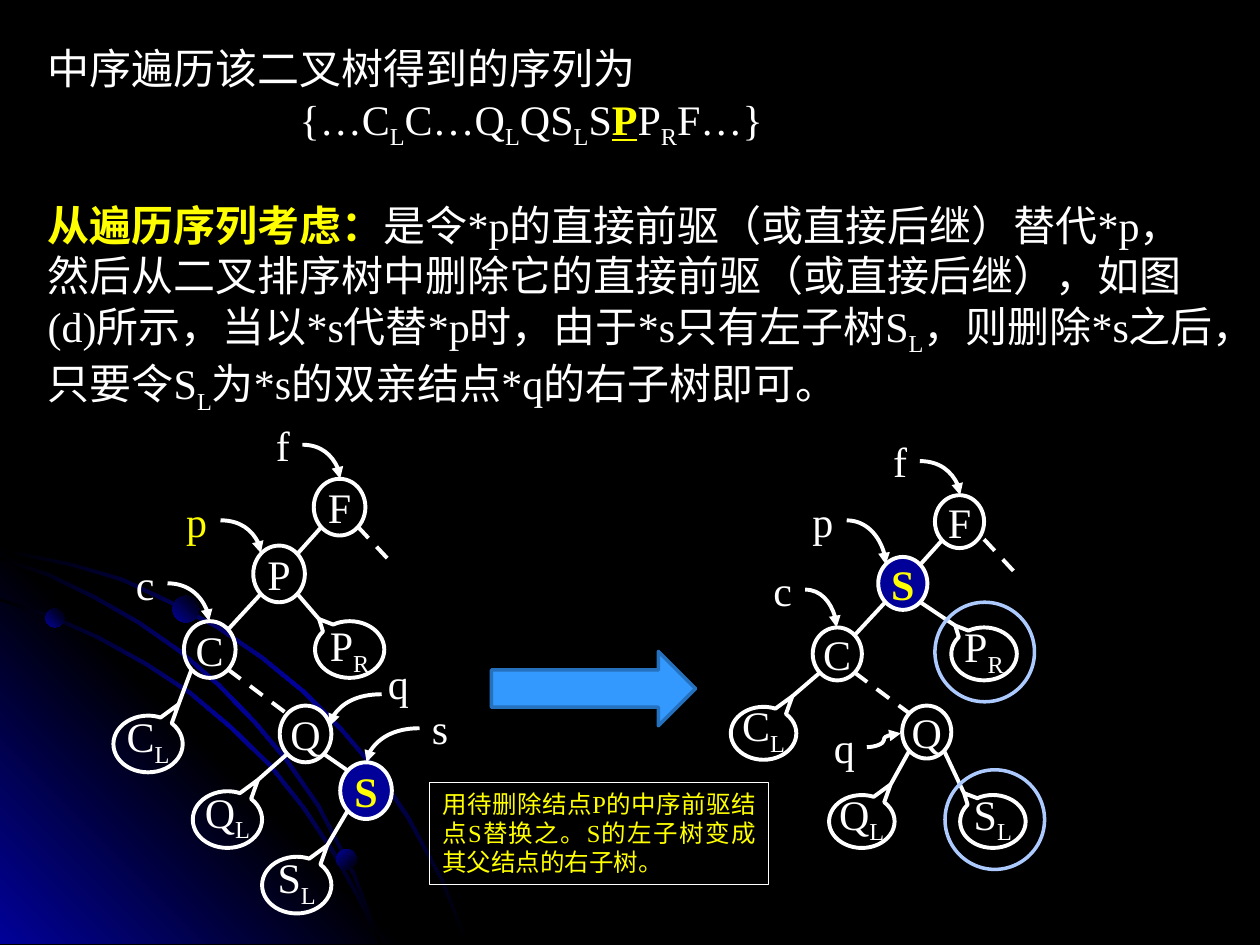
from dataclasses import dataclass

from lxml.etree import SubElement
from pptx import Presentation
from pptx.dml.color import RGBColor
from pptx.enum.dml import MSO_LINE
from pptx.enum.shapes import MSO_CONNECTOR, MSO_SHAPE
from pptx.enum.text import MSO_ANCHOR, MSO_AUTO_SIZE, PP_ALIGN
from pptx.oxml.ns import qn
from pptx.util import Emu, Inches, Pt

COLORS = {"back": "000000", "text": "FFFFFF", "key": "FFFF00", "navy": "010199",
          "ring": "ADCAFF", "arrow": "3399FF", "arrow_edge": "2671BD"}
FONT = "Times New Roman"
COLUMNS, ROWS = 100, 75
CELL = Inches(10) / COLUMNS
DIAGONAL = 0.5 ** 0.5 / 2
BOTTOM = 74.9

ARCS = [
    [(0, 43.5), (2.8, 44.1), (5.7, 44.7), (9.8, 45.9), (13.6, 47.7), (17.4, 49.7), (20.9, 52.1),
     (24.2, 54.8), (27.2, 57.8), (30, 61.1), (32.5, 64.8), (35.2, 69.8), (37.2, BOTTOM)],
    [(0, 47.5), (4.1, 48.8), (7.9, 50.5), (11.7, 52.6), (15.2, 54.9), (18.4, 57.6), (21.5, 60.6),
     (24.2, 64), (26.6, 67.6), (28.6, 71.2), (30.3, BOTTOM)],
    [(0, 44.2), (3.9, 45.5), (7.6, 47.3), (11.1, 49.3), (14.4, 51.6), (17.5, 54.3), (20.4, 57.3),
     (22.9, 60.3), (25.4, 63.9), (28.2, 69.3), (30.3, BOTTOM)],
]
CORNER = [(0, 42.7), (32.2, BOTTOM), (0, BOTTOM)]
DOTS = [(3.6, 48.3, 1.5, 315), (26.7, 67.4, 1.6, 45), (13.7, 47.3, 2.1, 315)]


@dataclass
class Tree:
    """Node and subtree positions are centres; a stub is a dashed line to a part not drawn."""
    node_size: tuple
    subtree_size: tuple
    nodes: dict
    edges: list
    subtrees: list
    stub: tuple
    pointers: list


BEFORE = Tree(
    (4.1, 4.5), (5.5, 4.5),
    {"F": (26.95, 40.25), "P": (22.15, 45.55), "C": (16.65, 51.55),
     "Q": (24.25, 58.25), "S": (29.05, 62.75)},
    [("F", "P", -1, False), ("P", "C", -1, False), ("C", "Q", 1, True), ("Q", "S", 1, False)],
    [("C", "L", 11.75, 59.05, "C", -1, 0.5), ("P", "R", 27.75, 51.55, "P", 1, 0.7),
     ("Q", "L", 18.05, 65.05, "Q", -1, 0.5), ("S", "L", 23.55, 70.25, "S", -1, 0.5)],
    (28.4, 41.8, 31.2, 44.8),
    [("f", 20.9, 32.8, 3.1, "text", (24, 35.3, 27, 38)),
     ("p", 13.8, 38.8, 3.7, "key", (17.5, 41.3, 20.7, 43.9)),
     ("c", 9.8, 43.8, 3.5, "text", (13.3, 46.3, 16.6, 49.3)),
     ("s", 33.3, 55.3, 3.3, "text", (33.3, 57.8, 29.1, 60.5)),
     ("q", 29.8, 51.7, 3.7, "text", (30.3, 55.1, 26.2, 57.6))])
AFTER = Tree(
    (3.9, 4.2), (5.2, 4.2),
    {"F": (76.15, 41.4), "S": (71.65, 46.3), "C": (66.45, 51.9), "Q": (73.55, 58.1)},
    [("F", "S", -1, False), ("S", "C", -1, False), ("C", "Q", 1, True)],
    [("C", "L", 60.6, 58.2, "C", -1, 0.5), ("P", "R", 78.1, 51.9, "S", 1, 0.5),
     ("Q", "L", 68.4, 65.2, "Q", -1, 0.5), ("S", "L", 78.8, 65.2, "Q", 1, 0.5)],
    (78.1, 42.8, 80.7, 45.6),
    [("f", 69.9, 34.1, 3.1, "text", (73, 36.6, 76.2, 39.3)),
     ("p", 63.5, 38.8, 3.7, "text", (67.2, 41.3, 70.3, 44.8)),
     ("c", 60.4, 44.3, 3.5, "text", (63.9, 46.8, 66.4, 49.8)),
     ("q", 65.2, 56.8, 3.7, "text", (68.8, 59.3, 71.5, 58.2))])


def cells(*counts):
    return [Emu(round(count * CELL)) for count in counts]


def rgb(name):
    return RGBColor.from_string(COLORS[name])


def add_spans(para, spans, size=24):
    """Add (text, style) spans; style is a colour name, with "sub", "bold" or "under" as wanted."""
    for text, style in spans:
        span = para.add_run()
        span.text = text
        span.font.name, span.font.size = FONT, Pt(size)
        span.font.color.rgb = rgb("key" if "key" in style else "text")
        span.font.bold = "bold" in style
        if "under" in style:
            span.font.underline = True
        if "sub" in style:
            span._r.get_or_add_rPr().set("baseline", "-25000")


def add_figure(slide, preset, at, fill=None, line="text", width=2.25):
    shape = slide.shapes.add_shape(preset, *cells(*at))
    shape.shadow.inherit = False
    if fill:
        shape.fill.solid()
        shape.fill.fore_color.rgb = rgb(fill)
    else:
        shape.fill.background()
    shape.line.color.rgb = rgb(line)
    shape.line.width = Pt(width)
    return shape


def add_centred(shape, spans):
    frame = shape.text_frame
    frame.word_wrap = False
    frame.vertical_anchor = MSO_ANCHOR.MIDDLE
    para = frame.paragraphs[0]
    para.alignment = PP_ALIGN.CENTER
    add_spans(para, spans)
    return para


def add_line(slide, ends, kind=MSO_CONNECTOR.STRAIGHT, dashed=False):
    line = slide.shapes.add_connector(kind, *cells(*ends))
    line.line.color.rgb = rgb("text")
    line.line.width = Pt(2.25)
    if dashed:
        line.line.dash_style = MSO_LINE.DASH
    SubElement(line._element.spPr, qn("a:effectLst"))
    return line


def add_pointer(slide, label, left, top, width, color, ends):
    box = slide.shapes.add_textbox(*cells(left, top, width, 5))
    box.text_frame.word_wrap = False
    box.text_frame.auto_size = MSO_AUTO_SIZE.SHAPE_TO_FIT_TEXT
    add_spans(box.text_frame.paragraphs[0], [(label, color)])
    arrow = add_line(slide, ends, MSO_CONNECTOR.CURVE)
    SubElement(arrow.line._get_or_add_ln(), qn("a:tailEnd"), type="triangle")
    if ends[3] > ends[1]:
        arrow._element.spPr.find(qn("a:prstGeom")).set("prst", "curvedConnector2")


def add_subtree(slide, size, letter, index, x, y, side, spacing):
    """Draw a callout with its tip upwards and return where the tip is."""
    width, height = size
    reach = 0.7 if side < 0 else 0.535
    shape = add_figure(slide, MSO_SHAPE.OVAL_CALLOUT,
                       (x - width / 2, y - height / 2, width, height))
    shape.adjustments[0], shape.adjustments[1] = -0.44, reach
    shape._element.spPr.xfrm.set("flipV", "1")
    if side < 0:
        shape._element.spPr.xfrm.set("flipH", "1")
    add_centred(shape, [(letter, ""), (index, "sub")]).line_spacing = spacing
    shape.text_frame._txBody.bodyPr.set("rot", "10800000")
    return x - side * 0.44 * width, y - reach * height


def add_tree(slide, tree):
    width, height = tree.node_size

    def port(name, side, down):
        x, y = tree.nodes[name]
        return x + side * DIAGONAL * width, y + down * DIAGONAL * height

    for name, (x, y) in tree.nodes.items():
        marked = name == "S"
        node = add_figure(slide, MSO_SHAPE.OVAL, (x - width / 2, y - height / 2, width, height),
                          "navy" if marked else None)
        add_centred(node, [(name, "key bold" if marked else "")])
    for parent, child, side, dashed in tree.edges:
        add_line(slide, port(parent, side, 1) + port(child, -side, -1), dashed=dashed)
    for letter, index, x, y, parent, side, spacing in tree.subtrees:
        tip = add_subtree(slide, tree.subtree_size, letter, index, x, y, side, spacing)
        add_line(slide, port(parent, side, 1) + tip)
    add_line(slide, tree.stub, dashed=True)
    for pointer in tree.pointers:
        add_pointer(slide, *pointer)


def paint_gradient(shape, names, angle):
    shape.shadow.inherit = False
    shape.line.fill.background()
    shape.fill.gradient()
    gradient = shape._element.spPr.find(qn("a:gradFill"))
    stops = gradient.find(qn("a:gsLst"))
    for stop in list(stops):
        stops.remove(stop)
    for number, name in enumerate(names):
        stop = SubElement(stops, qn("a:gs"), pos=str(number * 100000 // (len(names) - 1)))
        SubElement(stop, qn("a:srgbClr"), val=COLORS[name])
    gradient.find(qn("a:lin")).set("ang", str(angle * 60000))


def add_outline(slide, points, names, angle):
    start, *others = [cells(*point) for point in points]
    builder = slide.shapes.build_freeform(*start)
    builder.add_line_segments(others, close=True)
    paint_gradient(builder.convert_to_shape(), names, angle)


def add_backdrop(slide):
    slide.background.fill.solid()
    slide.background.fill.fore_color.rgb = rgb("back")
    bands = [arc + [(max(x - 0.2, 0), min(y + 0.2, BOTTOM)) for x, y in reversed(arc)]
             for arc in ARCS]
    add_outline(slide, bands[0], ["back", "navy", "back"], 45)
    add_outline(slide, CORNER, ["navy", "back", "navy"], 315)
    for band in bands[1:]:
        add_outline(slide, band, ["back", "navy", "back"], 45)
    for left, top, size, angle in DOTS:
        dot = add_figure(slide, MSO_SHAPE.OVAL, (left, top, size, size))
        paint_gradient(dot, ["navy", "back"], angle)


def add_explanation(slide):
    frame = slide.shapes.add_textbox(*cells(2.8, 2.9, 94.5, 29.3)).text_frame
    frame.word_wrap = True
    frame.auto_size = MSO_AUTO_SIZE.SHAPE_TO_FIT_TEXT
    add_spans(frame.paragraphs[0], [("中序遍历该二叉树得到的序列为", "")])
    sequence = frame.add_paragraph()
    sequence._p.get_or_add_pPr().set("marL", str(Inches(2)))
    add_spans(sequence, [("{…C", ""), ("L", "sub"), ("C…Q", ""), ("L", "sub"), ("QS", ""),
                         ("L", "sub"), ("S", ""), ("P", "key bold under"), ("P", ""),
                         ("R", "sub"), ("F…}", "")])
    reason = frame.add_paragraph()
    reason.space_before = Pt(28)
    add_spans(reason, [
        ("从遍历序列考虑：", "key bold"),
        ("是令*p的直接前驱（或直接后继）替代*p，然后从二叉排序树中删除它的直接前驱（或直接后继），"
         "如图(d)所示，当以*s代替*p时，由于*s只有左子树S", ""),
        ("L", "sub"), ("，则删除*s之后，只要令S", ""), ("L", "sub"),
        ("为*s的双亲结点*q的右子树即可。", "")])


def add_note(slide):
    note = add_figure(slide, MSO_SHAPE.RECTANGLE, (34.1, 62.1, 26.9, 8.1), width=0.75)
    note.text_frame.word_wrap = True
    note.text_frame.vertical_anchor = MSO_ANCHOR.TOP
    para = note.text_frame.paragraphs[0]
    para.alignment = PP_ALIGN.JUSTIFY
    add_spans(para, [("用待删除结点P的中序前驱结点S替换之。S的左子树变成其父结点的右子树。", "key")], 14)


def main():
    deck = Presentation()
    deck.slide_width, deck.slide_height = cells(COLUMNS, ROWS)
    slide = deck.slides.add_slide(deck.slide_layouts[6])
    add_backdrop(slide)
    add_explanation(slide)
    for tree in (BEFORE, AFTER):
        add_tree(slide, tree)
    for left, top in ((74.2, 47.8), (75, 61.1)):
        add_figure(slide, MSO_SHAPE.OVAL, (left, top, 7.9, 7.9), line="ring", width=2)
    add_figure(slide, MSO_SHAPE.RIGHT_ARROW, (39, 51.7, 16.2, 5.9), "arrow", "arrow_edge", 2)
    add_note(slide)
    deck.save("out.pptx")


if __name__ == "__main__":
    main()
